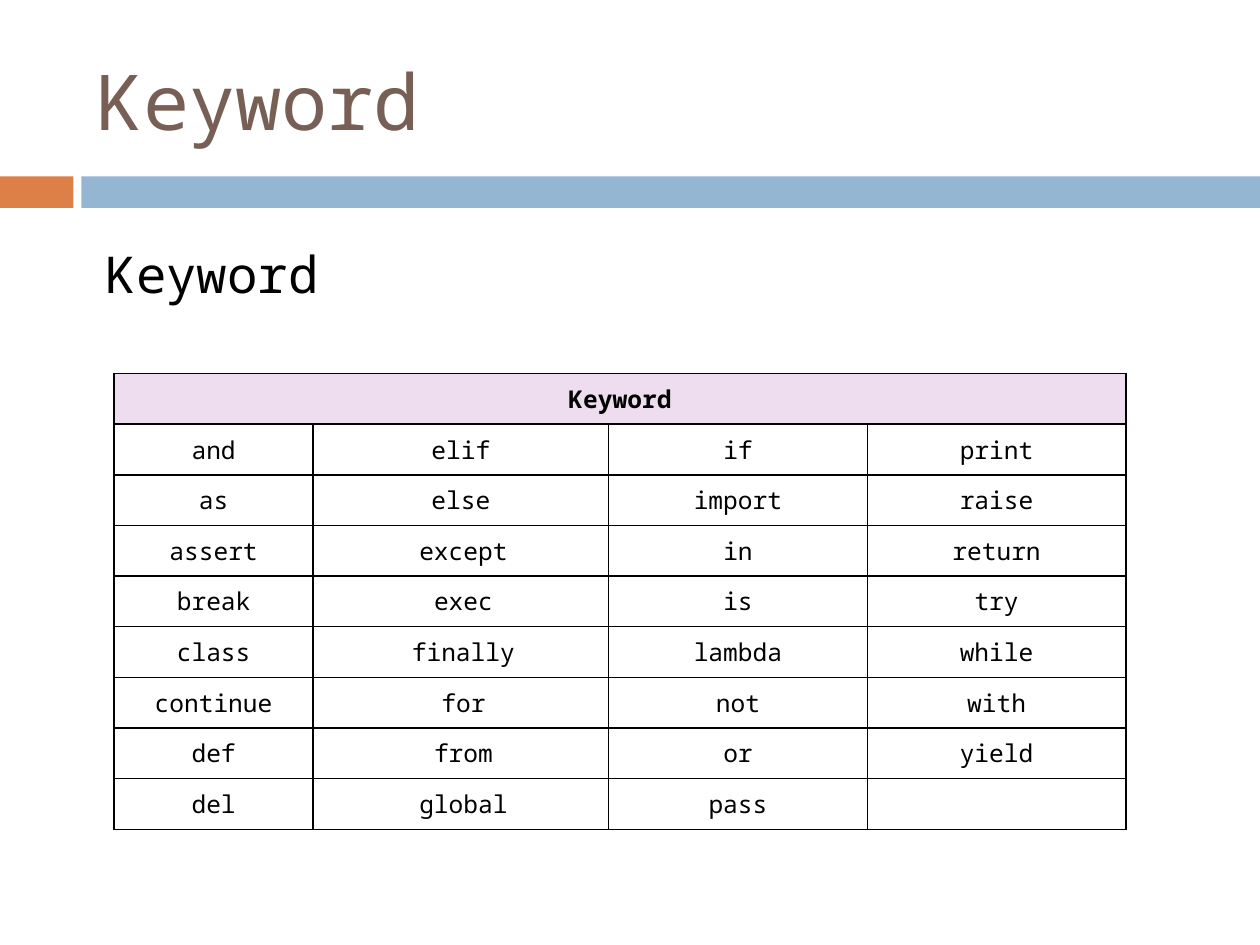
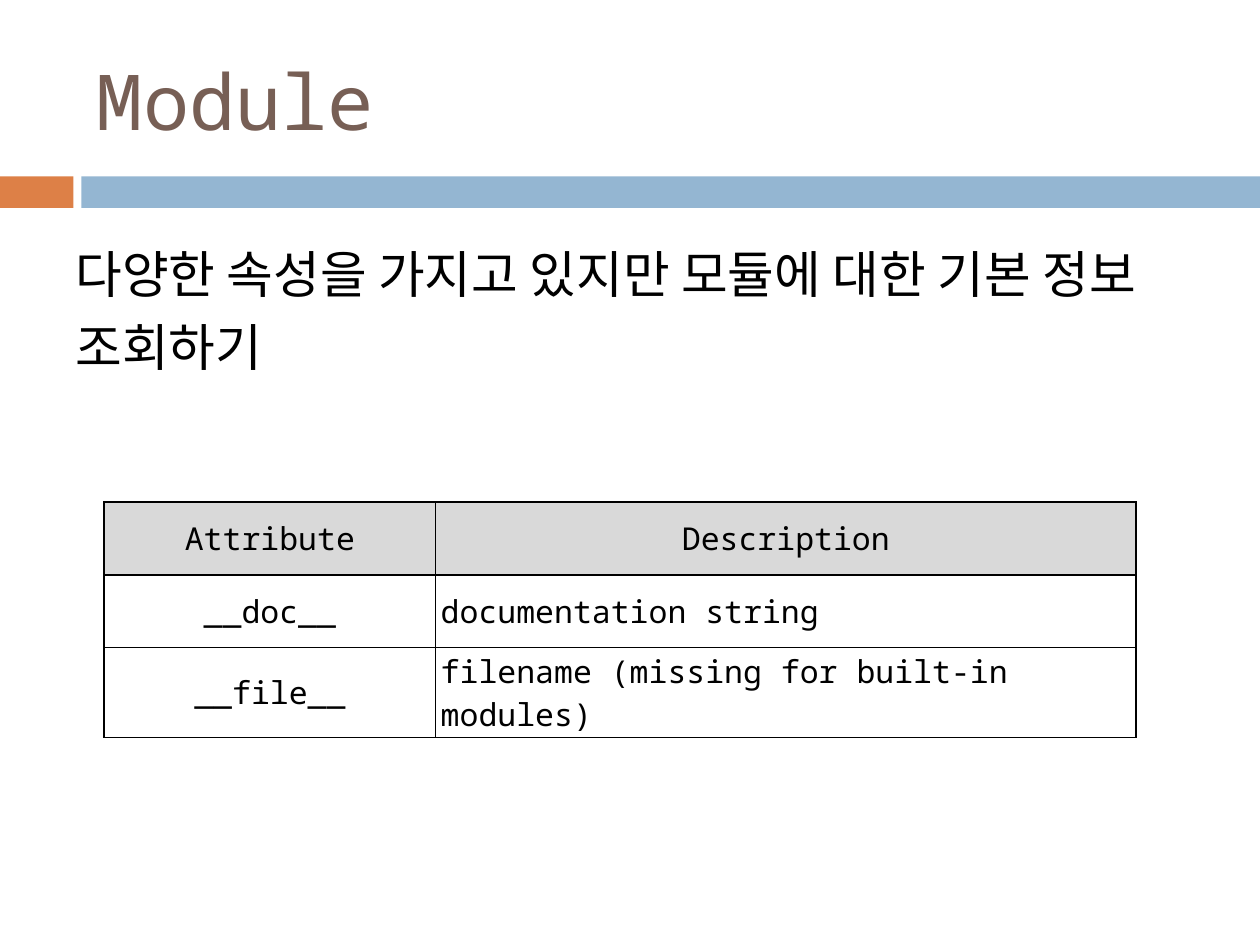
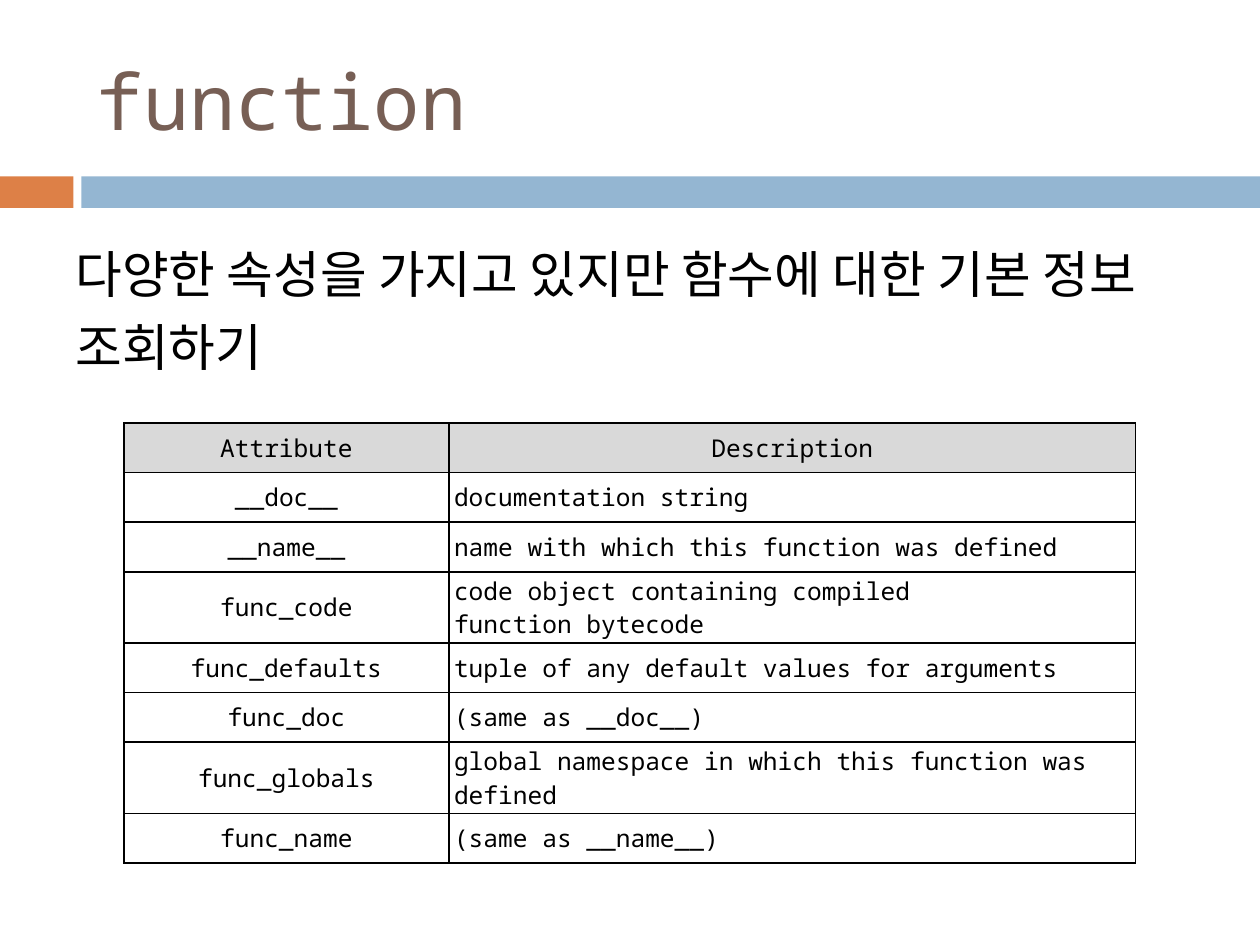
"""Build three slides of Python keyword and attribute tables."""
from dataclasses import dataclass
from typing import Optional

from lxml.etree import SubElement
from pptx import Presentation
from pptx.dml.color import RGBColor
from pptx.enum.shapes import MSO_SHAPE
from pptx.enum.text import MSO_ANCHOR, PP_ALIGN
from pptx.oxml.ns import qn
from pptx.presentation import Presentation as Deck
from pptx.slide import Slide
from pptx.table import _Cell as Cell
from pptx.text.text import _Paragraph as Paragraph
from pptx.util import Emu, Inches, Pt

FONT = "Noto Sans Mono"
COLORS = {
    "title": "775F55",
    "text": "000000",
    "border": "000000",
    "orange": "DD8047",
    "blue": "94B6D2",
    "pink": "EEDDEE",
    "gray": "D9D9D9",
}
SLIDE_WIDTH = Inches(10)
SLIDE_HEIGHT = Inches(7.5)
COLUMN = SLIDE_WIDTH // 100
ROW = SLIDE_HEIGHT // 75


@dataclass(frozen=True)
class Area:
    """Rectangle in grid columns and rows."""

    left: float
    top: float
    width: float
    height: float

    def box(self) -> tuple[Emu, Emu, Emu, Emu]:
        """Return the rectangle as lengths for python-pptx."""
        return (Emu(round(self.left * COLUMN)), Emu(round(self.top * ROW)),
                Emu(round(self.width * COLUMN)), Emu(round(self.height * ROW)))


@dataclass(frozen=True)
class TextStyle:
    """Look of a run of text."""

    size: int
    color: str = "text"
    bold: bool = False


@dataclass(frozen=True)
class Grid:
    """Table with a coloured header row."""

    left: float
    top: float
    row_height: float
    widths: tuple[float, ...]
    rows: tuple[tuple[str, ...], ...]
    size: int
    header_fill: str
    bold_header: bool = False
    left_column: Optional[int] = None
    inset_column: Optional[int] = None
    inset_from_row: int = 0
    two_line_rows: tuple[int, ...] = ()
    two_line_height: float = 0

    def heights(self) -> list[float]:
        """Return the height of every row."""
        return [self.two_line_height if row in self.two_line_rows else self.row_height
                for row in range(len(self.rows))]


@dataclass(frozen=True)
class Page:
    """Content of one slide."""

    title: str
    body: str
    body_height: float
    grid: Grid
    body_indent: float = 0


BANDS = (
    (Area(0, 14, 5.83, 2.5), "orange"),
    (Area(6.46, 14, 93.54, 2.5), "blue"),
)
TITLE_AREA = Area(6.7, 2.5, 89.2, 10.8)
TITLE_STYLE = TextStyle(44, "title")
BODY_STYLE = TextStyle(29)
ATTRIBUTE_HEADER = ("Attribute", "Description")

PAGES = (
    Page(
        "Keyword", "Keyword", 9.4,
        Grid(
            9.06, 29.64, 4.02, (15.8, 23.45, 20.53, 20.53),
            (
                ("Keyword",),
                ("and", "elif", "if", "print"),
                ("as", "else", "import", "raise"),
                ("assert", "except", "in", "return"),
                ("break", "exec", "is", "try"),
                ("class", "finally", "lambda", "while"),
                ("continue", "for", "not", "with"),
                ("def", "from", "or", "yield"),
                ("del", "global", "pass", ""),
            ),
            14, "pink", bold_header=True, inset_column=1, inset_from_row=3,
        ),
        body_indent=2.4,
    ),
    Page(
        "Module", "다양한 속성을 가지고 있지만 모듈에 대한 기본 정보 조회하기", 15.7,
        Grid(
            8.26, 39.86, 5.77, (26.32, 55.58),
            (
                ATTRIBUTE_HEADER,
                ("__doc__", "documentation string"),
                ("__file__", "filename (missing for built-in modules)"),
            ),
            18, "gray", left_column=1, two_line_rows=(2,), two_line_height=7.16,
        ),
    ),
    Page(
        "function", "다양한 속성을 가지고 있지만 함수에 대한 기본 정보 조회하기", 15.7,
        Grid(
            9.84, 33.57, 3.94, (25.8, 54.5),
            (
                ATTRIBUTE_HEADER,
                ("__doc__", "documentation string"),
                ("__name__", "name with which this function was defined"),
                ("func_code", "code object containing compiled function\u00a0bytecode"),
                ("func_defaults", "tuple of any default values for arguments"),
                ("func_doc", "(same as __doc__)"),
                ("func_globals", "global namespace in which this function was defined"),
                ("func_name", "(same as __name__)"),
            ),
            14, "gray", left_column=1, two_line_rows=(3, 6), two_line_height=5.65,
        ),
    ),
)


def rgb(name: str) -> RGBColor:
    """Return a named colour."""
    return RGBColor.from_string(COLORS[name])


def add_span(para: Paragraph, text: str, style: TextStyle) -> None:
    """Add one styled run to a paragraph."""
    span = para.add_run()
    span.text = text
    span.font.name = FONT
    span.font.size = Pt(style.size)
    span.font.bold = style.bold
    span.font.color.rgb = rgb(style.color)


def add_band(slide: Slide, area: Area, color: str) -> None:
    """Draw a plain coloured band."""
    band = slide.shapes.add_shape(MSO_SHAPE.RECTANGLE, *area.box())
    band.shadow.inherit = False
    band.fill.solid()
    band.fill.fore_color.rgb = rgb(color)
    band.line.fill.background()


def add_text(slide: Slide, area: Area, text: str, style: TextStyle,
             anchor: MSO_ANCHOR) -> Paragraph:
    """Add a wrapped text box and return its paragraph."""
    frame = slide.shapes.add_textbox(*area.box()).text_frame
    frame.word_wrap = True
    frame.vertical_anchor = anchor
    para = frame.paragraphs[0]
    add_span(para, text, style)
    return para


def add_body(slide: Slide, page: Page) -> None:
    """Add the sentence below the bands."""
    para = add_text(slide, Area(5, 17.8, 90, page.body_height), page.body,
                    BODY_STYLE, MSO_ANCHOR.TOP)
    para.line_spacing = 1.2
    para.space_before = Pt(7)
    if page.body_indent:
        properties = para._p.get_or_add_pPr()
        properties.set("marL", str(round(page.body_indent * COLUMN)))


def add_borders(cell: Cell) -> None:
    """Give a cell thin lines on its four sides."""
    properties = cell._tc.get_or_add_tcPr()
    for side in ("lnL", "lnR", "lnT", "lnB"):
        line = SubElement(properties, qn(f"a:{side}"), w=str(Pt(1)))
        fill = SubElement(line, qn("a:solidFill"))
        SubElement(fill, qn("a:srgbClr"), val=COLORS["border"])


def style_cell(cell: Cell, grid: Grid, row: int, column: int) -> None:
    """Set the insets, borders and fill of a cell."""
    inset = grid.inset_column == column and row >= grid.inset_from_row
    cell.margin_left = Inches(0.08 if inset else 0.04)
    cell.margin_right = Inches(0.04)
    cell.margin_top = cell.margin_bottom = Inches(0.02)
    cell.vertical_anchor = MSO_ANCHOR.MIDDLE
    add_borders(cell)
    if row == 0:
        cell.fill.solid()
        cell.fill.fore_color.rgb = rgb(grid.header_fill)
    else:
        cell.fill.background()


def add_grid(slide: Slide, grid: Grid) -> None:
    """Add a table, merging a header that has a single label."""
    area = Area(grid.left, grid.top, sum(grid.widths), sum(grid.heights()))
    table = slide.shapes.add_table(len(grid.rows), len(grid.widths), *area.box()).table
    table.first_row = table.horz_banding = False
    for column, width in zip(table.columns, grid.widths):
        column.width = Emu(round(width * COLUMN))
    for row, height in zip(table.rows, grid.heights()):
        row.height = Emu(round(height * ROW))
    for row in range(len(grid.rows)):
        for column in range(len(grid.widths)):
            style_cell(table.cell(row, column), grid, row, column)
    if len(grid.rows[0]) == 1:
        table.cell(0, 0).merge(table.cell(0, len(grid.widths) - 1))
    for row, labels in enumerate(grid.rows):
        style = TextStyle(grid.size, bold=grid.bold_header and row == 0)
        for column, label in enumerate(labels):
            para = table.cell(row, column).text_frame.paragraphs[0]
            is_left = row > 0 and column == grid.left_column
            para.alignment = PP_ALIGN.LEFT if is_left else PP_ALIGN.CENTER
            if label:
                add_span(para, label, style)


def add_page(deck: Deck, page: Page) -> None:
    """Add one slide with its bands, title, sentence and table."""
    slide = deck.slides.add_slide(deck.slide_layouts[6])
    for area, color in BANDS:
        add_band(slide, area, color)
    add_text(slide, TITLE_AREA, page.title, TITLE_STYLE, MSO_ANCHOR.MIDDLE)
    add_body(slide, page)
    add_grid(slide, page.grid)


def main() -> None:
    """Build and save the deck."""
    deck = Presentation()
    deck.slide_width = SLIDE_WIDTH
    deck.slide_height = SLIDE_HEIGHT
    for page in PAGES:
        add_page(deck, page)
    deck.save("out.pptx")


main()
